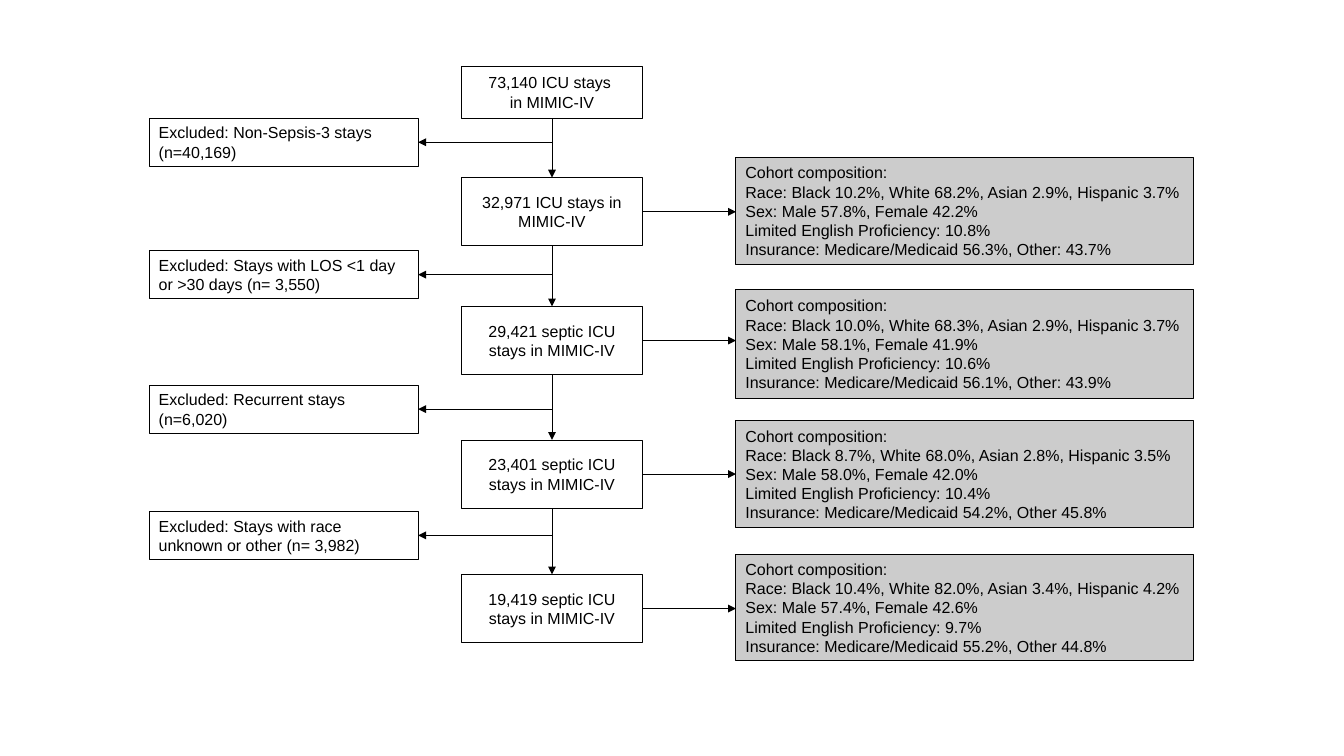
from lxml.etree import SubElement
from pptx import Presentation
from pptx.dml.color import RGBColor
from pptx.enum.shapes import MSO_CONNECTOR, MSO_SHAPE
from pptx.enum.text import MSO_ANCHOR, PP_ALIGN
from pptx.oxml.ns import qn
from pptx.util import Pt

# (top, height, text); \v breaks a line inside a paragraph
STAYS = [
    (49.7, 38.9, "73,140 ICU stays \nin MIMIC-IV"),
    (133.2, 51.1, "32,971 ICU stays in MIMIC-IV"),
    (229.7, 51.1, "29,421 septic ICU\vstays in MIMIC-IV"),
    (329.8, 51.1, "23,401 septic ICU\vstays in MIMIC-IV"),
    (430.6, 51.1, "19,419 septic ICU\vstays in MIMIC-IV"),
]
EXCLUDED = [
    (88.6, "Non-Sepsis-3 stays\n(n=40,169)"),
    (187.9, "Stays with LOS <1 day or >30 days (n= 3,550)"),
    (288.7, "Recurrent stays\n(n=6,020)"),
    (383.3, "Stays with race unknown or other (n= 3,982)"),
]
# (top, height, race, sex, limited English, insurance)
COHORTS = [
    (118.1, 79.9, "Black 10.2%, White 68.2%, Asian 2.9%, Hispanic 3.7%",
     "Male 57.8%, Female 42.2%", "10.8%",
     "Medicare/Medicaid 56.3%, Other: 43.7%"),
    (216.7, 82.1, "Black 10.0%, White 68.3%, Asian 2.9%, Hispanic 3.7%",
     "Male 58.1%, Female 41.9%", "10.6%",
     "Medicare/Medicaid 56.1%, Other: 43.9%"),
    (315.4, 79.9, "Black 8.7%, White 68.0%, Asian 2.8%, Hispanic 3.5%",
     "Male 58.0%, Female 42.0%", "10.4%",
     "Medicare/Medicaid 54.2%, Other 45.8%"),
    (415.4, 79.9, "Black 10.4%, White 82.0%, Asian 3.4%, Hispanic 4.2%",
     "Male 57.4%, Female 42.6%", "9.7%",
     "Medicare/Medicaid 55.2%, Other 44.8%"),
]
LABELS = ["Race", "Sex", "Limited English Proficiency", "Insurance"]

# (left, width) of each column
LEFT, MID, RIGHT = (112, 201.6), (346.3, 135.4), (552, 343.4)
AXIS = MID[0] + MID[1] / 2
BLACK, GREY = "000000", "CCCCCC"


def color(code):
    """Turn a hex string into a colour."""
    return RGBColor.from_string(code)


def add_box(slide, column, top, height, text, align=PP_ALIGN.LEFT, fill=None):
    """Add an outlined text box in a column."""
    left, width = column
    box = slide.shapes.add_shape(
        MSO_SHAPE.RECTANGLE, Pt(left), Pt(top), Pt(width), Pt(height))
    box.shadow.inherit = False
    if fill:
        box.fill.solid()
        box.fill.fore_color.rgb = color(fill)
    else:
        box.fill.background()
    box.line.color.rgb = color(BLACK)
    box.line.width = Pt(0.75)
    frame = box.text_frame
    frame.word_wrap = True
    frame.vertical_anchor = MSO_ANCHOR.MIDDLE
    frame.text = text
    for para in frame.paragraphs:
        para.alignment = align
        para.font.name = "Arial"
        para.font.size = Pt(12)
        para.font.color.rgb = color(BLACK)


def add_arrow(slide, *ends):
    """Add a line from x1, y1 to x2, y2 with a head at its end."""
    arrow = slide.shapes.add_connector(
        MSO_CONNECTOR.STRAIGHT, *[Pt(end) for end in ends])
    arrow.line.color.rgb = color(BLACK)
    arrow.line.width = Pt(0.75)
    SubElement(arrow.line._get_or_add_ln(), qn("a:tailEnd"), type="triangle")
    SubElement(arrow._element.spPr, qn("a:effectLst"))


def build():
    """Build the cohort flow chart and save it."""
    deck = Presentation()
    deck.slide_width, deck.slide_height = Pt(1008), Pt(566.64)
    slide = deck.slides.add_slide(deck.slide_layouts[6])

    for top, height, text in STAYS:
        add_box(slide, MID, top, height, text, PP_ALIGN.CENTER)
    for (top, height, _), (below, _, _) in zip(STAYS, STAYS[1:]):
        add_arrow(slide, AXIS, top + height, AXIS, below)

    for top, text in EXCLUDED:
        add_box(slide, LEFT, top, 36, "Excluded: " + text)
        add_arrow(slide, AXIS, top + 18, sum(LEFT), top + 18)

    for (top, height, *facts), (start, tall, _) in zip(COHORTS, STAYS[1:]):
        lines = [f"{label}: {fact}" for label, fact in zip(LABELS, facts)]
        text = "\n".join(["Cohort composition:"] + lines)
        add_box(slide, RIGHT, top, height, text, fill=GREY)
        level = start + tall / 2
        add_arrow(slide, sum(MID), level, RIGHT[0], level)

    deck.save("out.pptx")


build()
